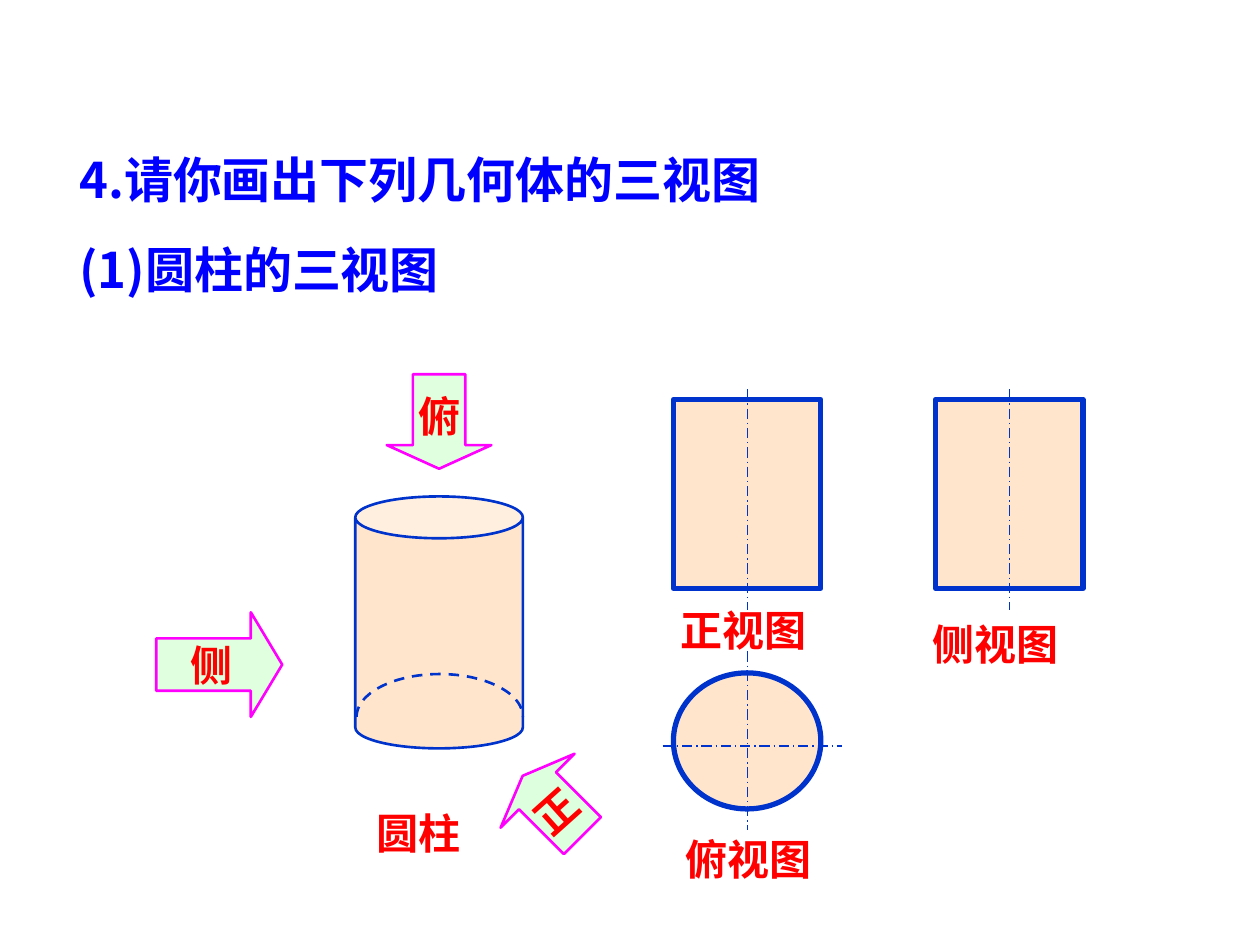
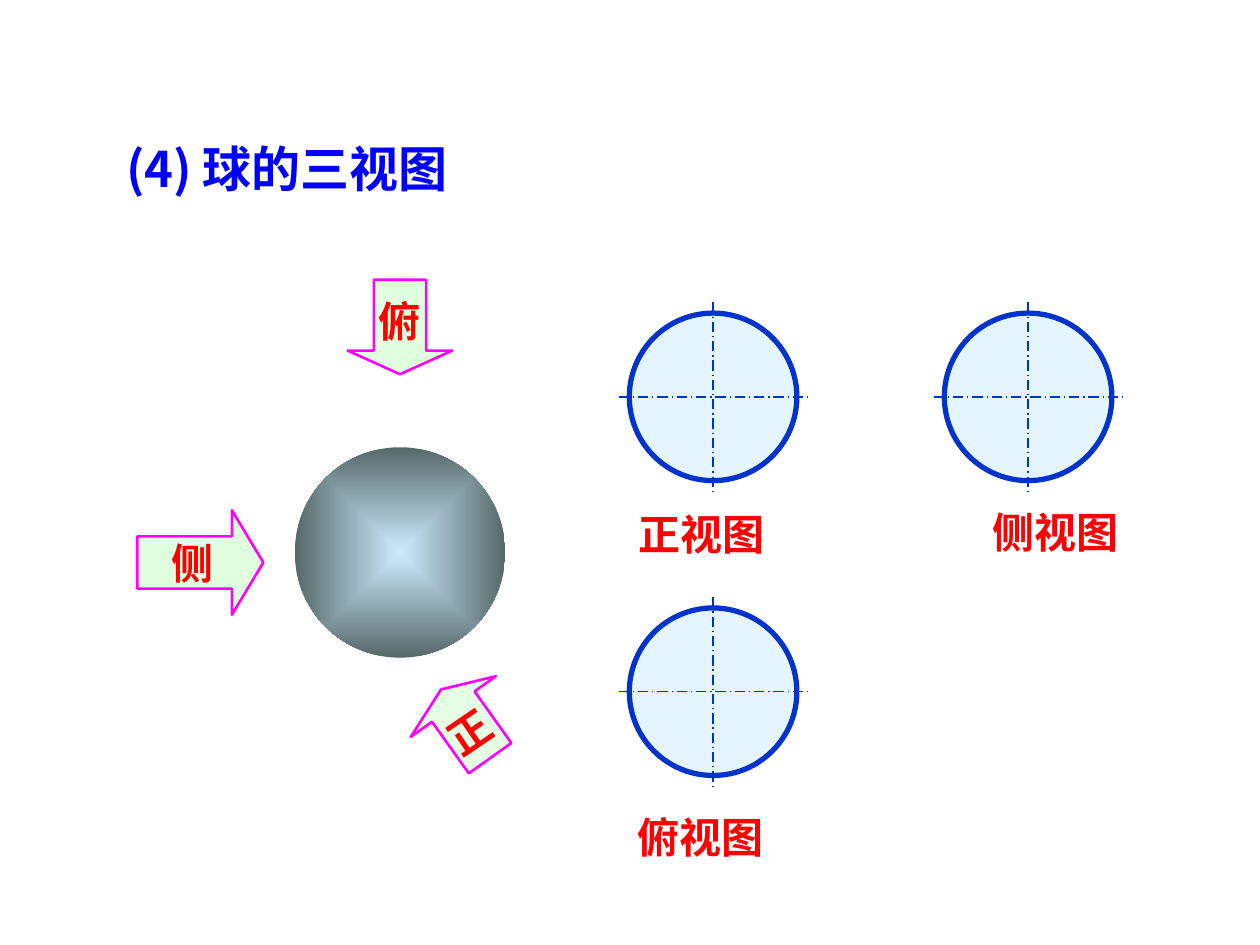
import dataclasses
import math

import lxml.etree
import pptx
import pptx.dml.color
import pptx.enum.dml
import pptx.enum.shapes
import pptx.enum.text
import pptx.oxml.ns
import pptx.util

Inches = pptx.util.Inches
Pt = pptx.util.Pt
qn = pptx.oxml.ns.qn
Preset = pptx.enum.shapes.MSO_SHAPE
Dash = pptx.enum.dml.MSO_LINE
Anchor = pptx.enum.text.MSO_ANCHOR
Align = pptx.enum.text.PP_ALIGN


@dataclasses.dataclass(frozen=True)
class Theme:
    title_color: str = "0000FF"
    label_color: str = "FF0000"
    outline: str = "0033CC"
    solid_fill: str = "FFCC99"
    sphere_fill: str = "CCECFF"
    sphere_edge: str = "576869"
    arrow_fill: str = "CCFFCC"
    arrow_line: str = "FF00FF"
    title_size: float = 28
    label_size: float = 24
    cjk_font: str = "Noto Sans CJK SC"
    label_font: str = "Arial"
    arrow_font: str = "Cabin"
    view_line: float = 3
    thin_line: float = 1.5
    axis_line: float = 0.75


def rgb(code):
    return pptx.dml.color.RGBColor.from_string(code)


class Deck:
    def __init__(self, theme):
        self.theme = theme
        self.prs = pptx.Presentation()
        self.prs.slide_width, self.prs.slide_height = Inches(10), Inches(7.5)
        self.slide = None

    def new_slide(self, lines, left, top, width, height):
        """Start a title-only slide with one title paragraph per line."""
        t = self.theme
        self.slide = self.prs.slides.add_slide(self.prs.slide_layouts[5])
        title = self.slide.shapes.title
        title.left, title.top = Inches(left), Inches(top)
        title.width, title.height = Inches(width), Inches(height)
        frame = title.text_frame
        frame.text = "\n".join(lines)
        frame.vertical_anchor = Anchor.TOP
        frame.auto_size = pptx.enum.text.MSO_AUTO_SIZE.NONE
        self.style_text(frame, t.title_size, t.title_color, t.cjk_font, Align.LEFT)
        for paragraph in frame.paragraphs[1:]:
            paragraph.space_before = Pt(17.5)

    def style_text(self, frame, size, color, font, align):
        for paragraph in frame.paragraphs:
            paragraph.alignment = align
            for run in paragraph.runs:
                run.font.size = Pt(size)
                run.font.bold = True
                run.font.name = font
                run.font.color.rgb = rgb(color)
                if font == self.theme.cjk_font:
                    east_asian = lxml.etree.SubElement(run.font._element, qn("a:ea"))
                    east_asian.set("typeface", font)

    def label(self, text, left, top, width=1.96, font=None, rotation=0):
        box = self.slide.shapes.add_textbox(
            Inches(left), Inches(top), Inches(width), Inches(0.5))
        box.rotation = rotation
        box.text_frame.text = text
        box.text_frame.word_wrap = True
        self.style_text(box.text_frame, self.theme.label_size, self.theme.label_color,
                        font or self.theme.label_font, Align.LEFT)

    def shape(self, preset, left, top, width, height, fill, alpha, line, weight,
              adjustments=()):
        shape = self.slide.shapes.add_shape(
            preset, Inches(left), Inches(top), Inches(width), Inches(height))
        shape.shadow.inherit = False
        for index, value in enumerate(adjustments):
            shape.adjustments[index] = value
        shape.fill.solid()
        shape.fill.fore_color.rgb = rgb(fill)
        color = shape._element.spPr.find(qn("a:solidFill"))[0]
        lxml.etree.SubElement(color, qn("a:alpha")).set("val", str(alpha * 1000))
        shape.line.color.rgb = rgb(line)
        shape.line.width = Pt(weight)
        return shape

    def sight_arrow(self, preset, left, top, width, height, head,
                    text="", rotation=0, alpha=62):
        t = self.theme
        arrow = self.shape(preset, left, top, width, height, t.arrow_fill, alpha,
                           t.arrow_line, t.thin_line, (0.5, head))
        arrow.rotation = rotation
        if text:
            frame = arrow.text_frame
            frame.text = text
            frame.word_wrap = False
            frame.vertical_anchor = Anchor.MIDDLE
            self.style_text(frame, t.label_size, t.label_color, t.arrow_font, Align.CENTER)

    def side_and_top_arrows(self, side_left, side_top, top_left, top_top):
        self.sight_arrow(Preset.RIGHT_ARROW, side_left, side_top, 1, 0.83, 0.3, "侧")
        self.sight_arrow(Preset.DOWN_ARROW, top_left, top_top, 0.83, 0.75, 0.25, "俯")

    def front_arrow(self, left, top, rotation, alpha, text_left, text_top, text_rotation):
        self.sight_arrow(Preset.LEFT_ARROW, left, top, 0.67, 0.83, 0.25,
                         rotation=rotation, alpha=alpha)
        self.label("正", text_left, text_top, 0.99, self.theme.cjk_font, text_rotation)

    def view(self, preset, center_x, center_y, width, height, fill):
        self.shape(preset, center_x - width / 2, center_y - height / 2, width, height,
                   fill, 50, self.theme.outline, self.theme.view_line)

    def axis(self, x1, y1, x2, y2):
        line = self.slide.shapes.add_connector(
            pptx.enum.shapes.MSO_CONNECTOR.STRAIGHT,
            Inches(x1), Inches(y1), Inches(x2), Inches(y2))
        line.line.color.rgb = rgb(self.theme.outline)
        line.line.width = Pt(self.theme.axis_line)
        line.line.dash_style = Dash.LONG_DASH_DOT
        lxml.etree.SubElement(line._element.spPr, qn("a:effectLst"))

    def cross(self, x, y, length):
        self.axis(x, y - length / 2, x, y + length / 2)
        self.axis(x - length / 2, y, x + length / 2, y)

    def hidden_edge(self, center_x, center_y, radius_x, radius_y, steps=48):
        """Dashed upper half of an ellipse."""
        angles = [math.pi * (1 - step / steps) for step in range(steps + 1)]
        points = [(Inches(center_x + radius_x * math.cos(a)),
                   Inches(center_y - radius_y * math.sin(a))) for a in angles]
        builder = self.slide.shapes.build_freeform(*points[0])
        builder.add_line_segments(points[1:], close=False)
        edge = builder.convert_to_shape()
        edge.shadow.inherit = False
        edge.fill.background()
        edge.line.color.rgb = rgb(self.theme.outline)
        edge.line.width = Pt(self.theme.thin_line)
        edge.line.dash_style = Dash.DASH

    def sphere(self, left, top, diameter):
        ball = self.slide.shapes.add_shape(
            Preset.OVAL, Inches(left), Inches(top), Inches(diameter), Inches(diameter))
        ball.shadow.inherit = False
        ball.line.fill.background()
        ball.fill.gradient()
        colors = (self.theme.sphere_fill, self.theme.sphere_edge)
        for stop, position, color in zip(ball.fill.gradient_stops, (0, 1), colors):
            stop.position = position
            stop.color.rgb = rgb(color)
        # Shade from the centre outwards
        gradient = ball._element.spPr.find(qn("a:gradFill"))
        gradient.remove(gradient.find(qn("a:lin")))
        shade = lxml.etree.SubElement(gradient, qn("a:path"))
        shade.set("path", "rect")
        focus = lxml.etree.SubElement(shade, qn("a:fillToRect"))
        for side in "ltrb":
            focus.set(side, "50000")


def cylinder_slide(deck):
    t = deck.theme
    deck.new_slide(["4.请你画出下列几何体的三视图", "(1)圆柱的三视图"], 0.53, 1.14, 7.32, 1.28)

    # Cylinder and directions of sight
    deck.shape(Preset.CAN, 2.82, 3.94, 1.33, 2, t.solid_fill, 50, t.outline,
               t.thin_line, (0.25,))
    deck.hidden_edge(3.49, 5.69, 0.66, 0.34)
    deck.label("圆柱", 2.89, 6.36, 1.5, t.cjk_font)
    deck.side_and_top_arrows(1.24, 4.86, 3.07, 2.97)
    deck.front_arrow(4.05, 5.98, 45, 65, 4.09, 6.03, 318.1)

    # Front and side views
    front_x, side_x = 5.93, 8.01
    for x in (side_x, front_x):
        deck.view(Preset.RECTANGLE, x, 3.92, 1.17, 1.5, t.solid_fill)
        deck.axis(x, 3.09, x, 4.84)

    # Top view
    deck.view(Preset.OVAL, front_x, 5.88, 1.17, 1.08, t.solid_fill)
    deck.axis(front_x, 5.17, front_x, 6.59)
    deck.axis(5.26, 5.92, 6.68, 5.92)

    deck.label("正视图", 5.3, 4.75)
    deck.label("俯视图", 5.34, 6.57)
    deck.label("侧视图", 7.3, 4.86)


def sphere_slide(deck):
    deck.new_slide(["(4) 球的三视图"], 0.9, 1.05, 3.75, 0.57)

    # Sphere and directions of sight
    deck.sphere(2.34, 3.55, 1.67)
    deck.side_and_top_arrows(1.09, 4.05, 2.76, 2.22)
    deck.front_arrow(3.36, 5.33, 54.5, 50, 3.42, 5.43, 325.7)

    # Three equal circular views
    for x, y in ((5.66, 3.15), (8.16, 3.15), (5.66, 5.49)):
        deck.view(Preset.OVAL, x, y, 1.33, 1.33, deck.theme.sphere_fill)
        deck.cross(x, y, 1.5)

    deck.label("正视图", 4.97, 3.99)
    deck.label("俯视图", 4.96, 6.39)
    deck.label("侧视图", 7.78, 3.97)


def main():
    deck = Deck(Theme())
    cylinder_slide(deck)
    sphere_slide(deck)
    deck.prs.save("out.pptx")


if __name__ == "__main__":
    main()
